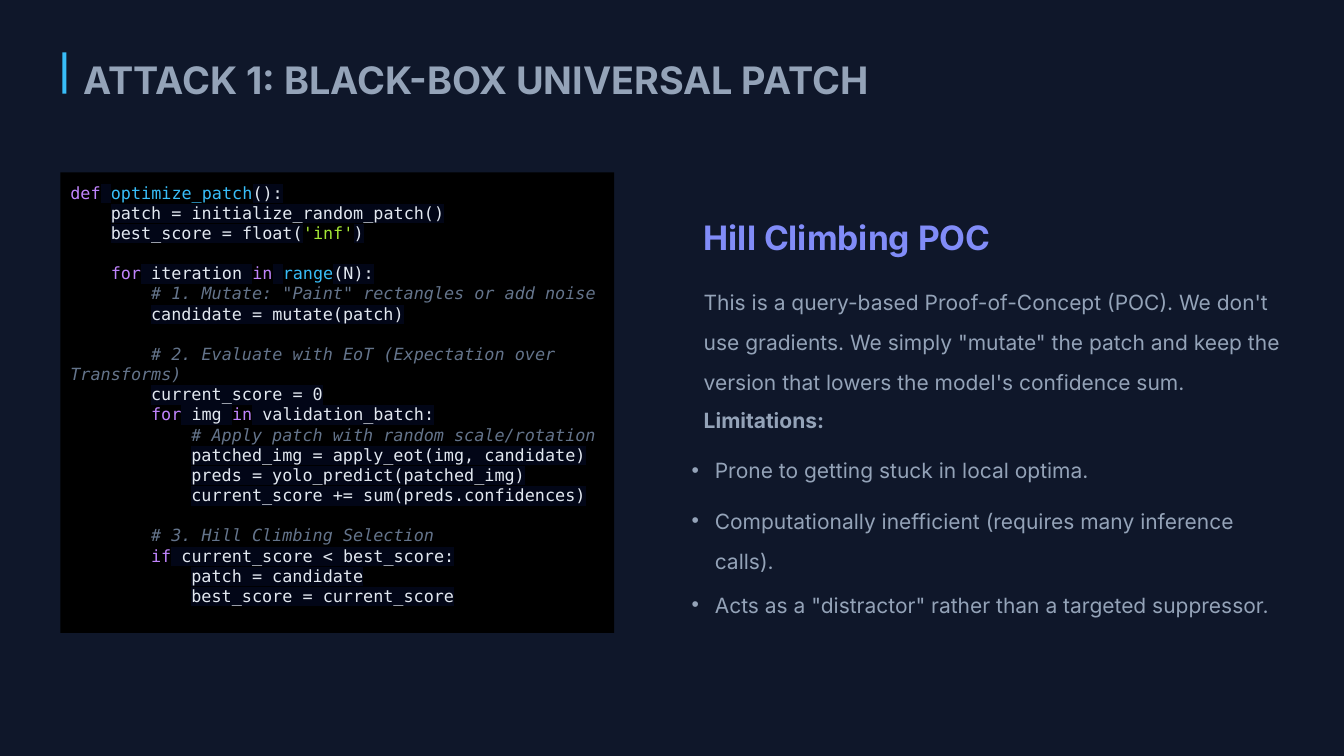
from lxml import etree
from pptx import Presentation
from pptx.dml.color import RGBColor
from pptx.enum.shapes import MSO_SHAPE
from pptx.enum.text import MSO_ANCHOR, MSO_AUTO_SIZE, PP_ALIGN
from pptx.oxml.ns import qn
from pptx.util import Inches, Pt

COLORS = {
    "background": "0F172A", "accent": "38BDF8", "heading": "818CF8",
    "body": "94A3B8", "panel": "000000", "highlight": "020617",
    "plain": "E2E8F0", "keyword": "C084FC", "name": "38BDF8",
    "string": "A3E635", "comment": "64748B",
}
TEXT_FONT, CODE_FONT = "Inter", "DejaVu Sans Mono"
CODE_SIZE = 12
CODE_INDENT = 0.4   # inches per level of four characters
BLANK_LINE = 14.4   # points

# Each line: indent level, blank lines above, (text, style) tokens
CODE_LINES = [
    (0, 0, [("def", "keyword"), (" ", "plain"), ("optimize_patch", "name"), ("():", "plain")]),
    (1, 0, [("patch = initialize_random_patch()", "plain")]),
    (1, 0, [("best_score = float(", "plain"), ("'inf'", "string"), (")", "plain")]),
    (1, 1, [("for", "keyword"), (" iteration ", "plain"), ("in", "keyword"),
            (" ", "plain"), ("range", "name"), ("(N):", "plain")]),
    (2, 0, [('# 1. Mutate: "Paint" rectangles or add noise', "comment")]),
    (2, 0, [("candidate = mutate(patch)", "plain")]),
    (2, 1, [("# 2. Evaluate with EoT (Expectation over Transforms)", "comment")]),
    (2, 0, [("current_score = 0", "plain")]),
    (2, 0, [("for", "keyword"), (" img ", "plain"), ("in", "keyword"),
            (" validation_batch:", "plain")]),
    (3, 0, [("# Apply patch with random scale/rotation", "comment")]),
    (3, 0, [("patched_img = apply_eot(img, candidate)", "plain")]),
    (3, 0, [("preds = yolo_predict(patched_img)", "plain")]),
    (3, 0, [("current_score += sum(preds.confidences)", "plain")]),
    (2, 1, [("# 3. Hill Climbing Selection", "comment")]),
    (2, 0, [("if", "keyword"), (" current_score < best_score:", "plain")]),
    (3, 0, [("patch = candidate", "plain")]),
    (3, 0, [("best_score = current_score", "plain")]),
]

INTRO = ("This is a query-based Proof-of-Concept (POC). We don't use gradients. "
         'We simply "mutate" the patch and keep the version that lowers the '
         "model's confidence sum.")

# Each limitation with the space above it in points
LIMITATIONS = [
    ("Prone to getting stuck in local optima.", 0),
    ("Computationally inefficient (requires many inference calls).", 7.3),
    ('Acts as a "distractor" rather than a targeted suppressor.', 2.4),
]


def rgb(name):
    return RGBColor.from_string(COLORS[name])


def place(shape, left, top, width, height):
    shape.left, shape.top = Inches(left), Inches(top)
    shape.width, shape.height = Inches(width), Inches(height)


def prepare_frame(text_frame, margin=0):
    text_frame.word_wrap = True
    text_frame.auto_size = MSO_AUTO_SIZE.NONE
    text_frame.vertical_anchor = MSO_ANCHOR.TOP
    text_frame.margin_left = text_frame.margin_right = Inches(margin)
    text_frame.margin_top = text_frame.margin_bottom = Inches(margin)


def format_run(run, size, color, font=TEXT_FONT, bold=False, italic=False):
    run.font.name, run.font.size = font, Pt(size)
    run.font.bold, run.font.italic = bold, italic
    run.font.color.rgb = rgb(color)


def write_paragraph(paragraph, text, size, color, bold=False, spacing=1.6, before=0):
    paragraph.text = text
    paragraph.alignment = PP_ALIGN.LEFT
    paragraph.line_spacing = spacing
    paragraph.space_before = Pt(before)
    format_run(paragraph.runs[0], size, color, bold=bold)


def set_indent(paragraph, margin, first_line):
    properties = paragraph._p.get_or_add_pPr()
    properties.set("marL", str(Inches(margin)))
    properties.set("indent", str(Inches(first_line)))
    return properties


def highlight_run(run):
    fill = run._r.get_or_add_rPr().find(qn("a:solidFill"))
    highlight = etree.Element(qn("a:highlight"))
    etree.SubElement(highlight, qn("a:srgbClr")).set("val", COLORS["highlight"])
    fill.addnext(highlight)


def add_text(slide, box, *args, **options):
    shape = slide.shapes.add_textbox(*map(Inches, box))
    prepare_frame(shape.text_frame)
    write_paragraph(shape.text_frame.paragraphs[0], *args, **options)


def add_panel(slide, box, color):
    shape = slide.shapes.add_shape(MSO_SHAPE.RECTANGLE, *map(Inches, box))
    shape.shadow.inherit = False
    shape.fill.solid()
    shape.fill.fore_color.rgb = rgb(color)
    shape.line.fill.background()
    return shape


def fill_title(slide):
    title = slide.shapes.title
    place(title, 0.83, 0.52, 9.1, 0.41)
    prepare_frame(title.text_frame)
    write_paragraph(title.text_frame.paragraphs[0], "ATTACK 1: BLACK-BOX UNIVERSAL PATCH",
                    27, "body", bold=True, spacing=1.1)


def fill_limitations(slide):
    body = slide.placeholders[1]
    place(body, 6.86, 4.39, 5.85, 1.66)
    frame = body.text_frame
    prepare_frame(frame)
    for index, (text, before) in enumerate(LIMITATIONS):
        paragraph = frame.add_paragraph() if index else frame.paragraphs[0]
        write_paragraph(paragraph, text, 15, "body", before=before)
        properties = set_indent(paragraph, 0.23, -0.23)
        etree.SubElement(properties, qn("a:buChar")).set("char", "•")


def add_code(slide):
    frame = add_panel(slide, (0.6, 1.71, 5.49, 4.57), "panel").text_frame
    prepare_frame(frame, margin=0.1)
    for index, (level, blanks, tokens) in enumerate(CODE_LINES):
        paragraph = frame.add_paragraph() if index else frame.paragraphs[0]
        paragraph.alignment = PP_ALIGN.LEFT
        paragraph.space_before = Pt(blanks * BLANK_LINE)
        set_indent(paragraph, 0, level * CODE_INDENT)
        for text, style in tokens:
            run = paragraph.add_run()
            run.text = text
            format_run(run, CODE_SIZE, style, CODE_FONT, italic=style == "comment")
            if style == "plain":
                highlight_run(run)


def main():
    presentation = Presentation()
    presentation.slide_width, presentation.slide_height = Inches(13.33), Inches(7.5)
    slide = presentation.slides.add_slide(presentation.slide_layouts[1])
    slide.background.fill.solid()
    slide.background.fill.fore_color.rgb = rgb("background")

    # Heading with accent bar
    fill_title(slide)
    add_panel(slide, (0.62, 0.52, 0.04, 0.41), "accent")

    # Code on the left
    add_code(slide)

    # Explanation on the right
    add_text(slide, (6.98, 2.11, 6.02, 0.37), "Hill Climbing POC", 24, "heading",
             bold=True, spacing=1.1)
    add_text(slide, (6.98, 2.72, 5.73, 1), INTRO, 15, "body")
    add_text(slide, (6.98, 3.89, 5.73, 0.33), "Limitations:", 15, "body", bold=True)
    fill_limitations(slide)

    presentation.save("out.pptx")


if __name__ == "__main__":
    main()
